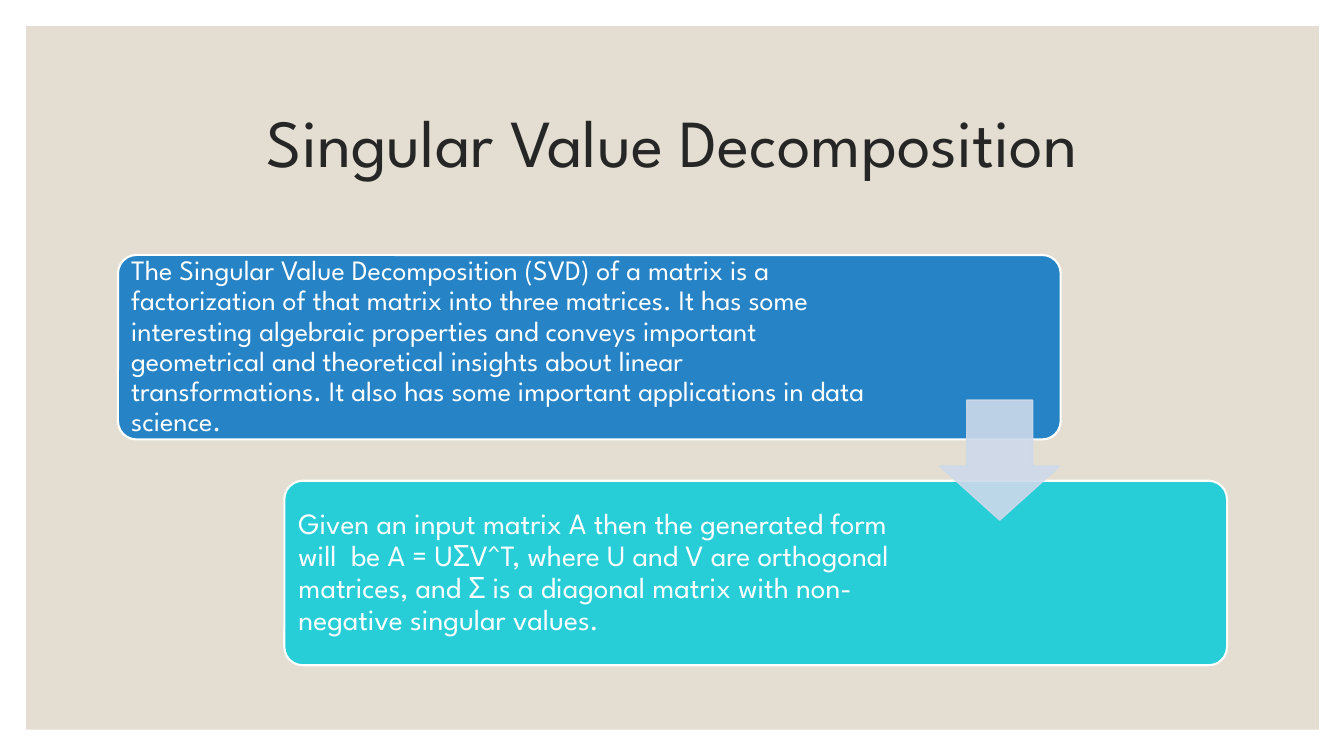
from dataclasses import dataclass

from lxml.etree import SubElement
from pptx import Presentation
from pptx.dml.color import RGBColor
from pptx.enum.shapes import MSO_SHAPE as Preset
from pptx.enum.text import MSO_ANCHOR as Anchor, MSO_AUTO_SIZE as AutoSize, PP_ALIGN as Align
from pptx.oxml.ns import qn
from pptx.slide import Slide
from pptx.util import Inches, Pt

FONT = "League Spartan"
WHITE = "FFFFFF"
ARROW_BLUE = "CDD9EA"
CARD_WIDTH, CARD_HEIGHT, CARD_PADDING = 9.35, 1.83, 0.05


@dataclass
class Card:
    left: float
    top: float
    fill: str
    text: str
    text_width: float
    size: int
    inset: float


CARDS = [
    Card(1.17, 2.53, "2683C6",
         "The Singular Value Decomposition (SVD) of a matrix is a factorization of that "
         "matrix into three matrices. It has some interesting algebraic properties and "
         "conveys important geometrical and theoretical insights about linear "
         "transformations. It also has some important applications in data science.",
         7.45, 20, 0.08),
    Card(2.82, 4.77, "27CED7",
         "Given an input matrix A then the generated form will  be A = UΣV^T, where U and V "
         "are orthogonal matrices, and Σ is a diagonal matrix with non-negative singular "
         "values.",
         6.4, 21, 0.09),
]


def color(value: str) -> RGBColor:
    return RGBColor.from_string(value)


def add_block(page: Slide, preset: Preset, left: float, top: float, width: float,
              height: float, fill: str, line: str = "", weight: float = 1):
    block = page.shapes.add_shape(preset, Inches(left), Inches(top),
                                  Inches(width), Inches(height))
    block.shadow.inherit = False
    block.fill.solid()
    block.fill.fore_color.rgb = color(fill)
    if line:
        block.line.color.rgb = color(line)
        block.line.width = Pt(weight)
    else:
        block.line.fill.background()
    return block


def write(frame, text: str, size: int, ink: str, align: Align, after: float = 0) -> None:
    frame.word_wrap = True
    frame.auto_size = AutoSize.NONE
    frame.vertical_anchor = Anchor.MIDDLE
    para = frame.paragraphs[0]
    para.alignment = align
    para.line_spacing = 0.9
    para.space_after = Pt(after)
    span = para.add_run()
    span.text = text
    span.font.name = FONT
    span.font.size = Pt(size)
    span.font.color.rgb = color(ink)


def add_card(page: Slide, card: Card) -> None:
    block = add_block(page, Preset.ROUNDED_RECTANGLE, card.left, card.top,
                      CARD_WIDTH, CARD_HEIGHT, card.fill, WHITE, 1.5)
    block.adjustments[0] = 0.1
    box = page.shapes.add_textbox(
        Inches(card.left + CARD_PADDING), Inches(card.top + CARD_PADDING),
        Inches(card.text_width), Inches(CARD_HEIGHT - 2 * CARD_PADDING))
    frame = box.text_frame
    frame.margin_left = frame.margin_right = Inches(card.inset)
    frame.margin_top = frame.margin_bottom = Inches(card.inset)
    write(frame, card.text, card.size, WHITE, Align.LEFT, 0.35 * card.size)


def add_arrow(page: Slide) -> None:
    arrow = add_block(page, Preset.DOWN_ARROW, 9.32, 3.97, 1.19, 1.19,
                      ARROW_BLUE, ARROW_BLUE)
    arrow.adjustments[0] = 0.55
    arrow.adjustments[1] = 0.45
    properties = arrow.fill._xPr
    for tint in properties.iter(qn("a:srgbClr")):
        SubElement(tint, qn("a:alpha"), val="90000")


def main() -> None:
    deck = Presentation()
    deck.slide_width, deck.slide_height = Inches(13.33), Inches(7.5)
    page = deck.slides.add_slide(deck.slide_layouts[5])

    # Beige panel behind everything
    panel = add_block(page, Preset.RECTANGLE, 0.26, 0.26, 12.82, 6.98, "E3DED1")
    page.shapes.title.element.addprevious(panel.element)

    # Title
    title = page.shapes.title
    title.left, title.top = Inches(1.17), Inches(0.7)
    title.width, title.height = Inches(11), Inches(1.5)
    write(title.text_frame, "Singular Value\u00a0Decomposition".replace("\u00a0", " "),
          48, "262626", Align.CENTER)

    # Two steps joined by an arrow
    for card in CARDS:
        add_card(page, card)
    add_arrow(page)

    deck.save("out.pptx")


if __name__ == "__main__":
    main()
